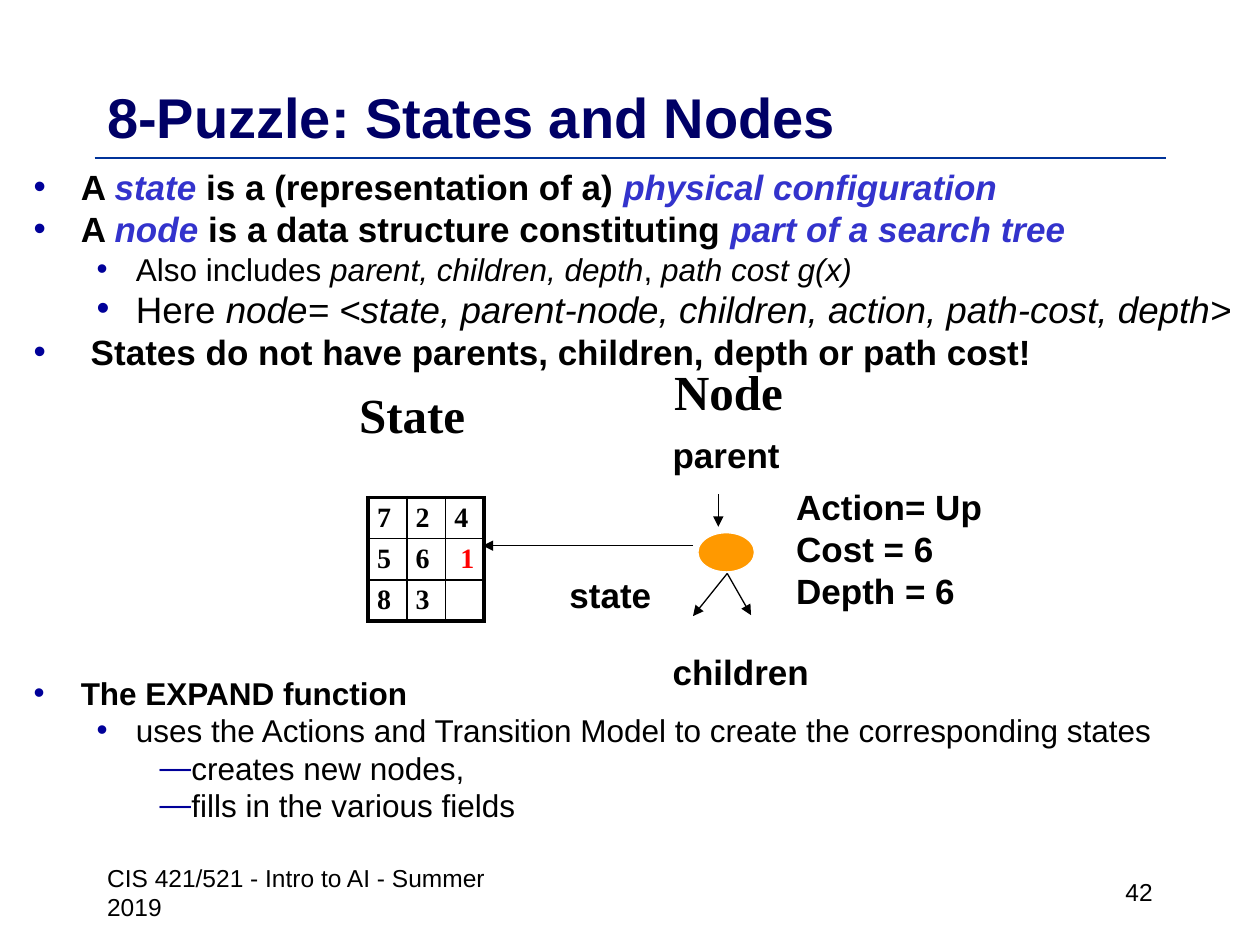
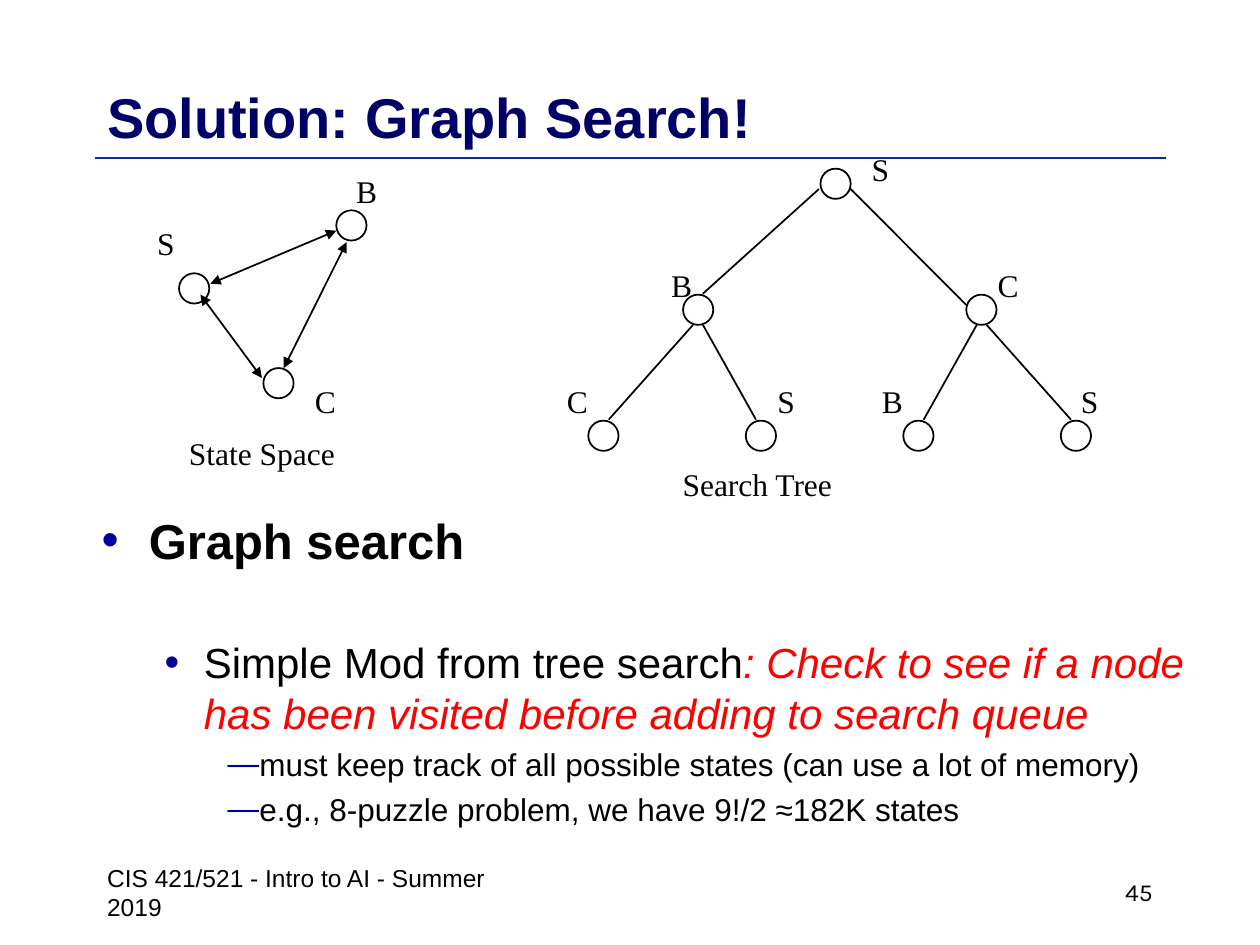
from typing import NamedTuple

from lxml.etree import SubElement
from pptx import Presentation
from pptx.dml.color import RGBColor
from pptx.enum.shapes import MSO_CONNECTOR as Link, MSO_SHAPE as Shape
from pptx.enum.text import MSO_ANCHOR as Anchor, MSO_AUTO_SIZE as AutoSize, PP_ALIGN as Align
from pptx.oxml.ns import qn
from pptx.util import Cm, Pt

SANS, SERIF = "Arial", "Times New Roman"
BLACK, WHITE, NAVY, RULE = "000000", "FFFFFF", "000066", "003399"
BULLET, TERM, RED, ORANGE = "000099", "3333CC", "FF0000", "FF9900"
FOOTER = "CIS 421/521 - Intro to AI - Summer 2019"
NODE_SIZE = 0.61
LINE_HEIGHT = 1.15


class Run(NamedTuple):
    text: str
    color: str = BLACK
    italic: bool = False


class Level(NamedTuple):
    margin: float
    hang: float
    char: str
    bold: bool


LEVELS = [
    Level(0.95, 0.95, "•", True),
    Level(2.06, 0.79, "•", False),
    Level(3.18, 0.64, "—", False),
]


class Bullet(NamedTuple):
    level: int
    size: float
    runs: list[Run]
    before: float = 0
    after: float = 0
    extra: float = 0


class Label(NamedTuple):
    text: str
    x: float
    y: float
    w: float = 0.95
    size: float = 18
    font: str = SERIF
    bold: bool = False


class Edge(NamedTuple):
    x1: float
    y1: float
    x2: float
    y2: float
    head: bool = False
    tail: bool = False


def rgb(color: str) -> RGBColor:
    return RGBColor.from_string(color)


def gap(size: float) -> float:
    return round(0.2 * LINE_HEIGHT * size, 1)


def add_run(p, text: str, size: float, font: str = SANS, color: str = BLACK,
            bold: bool = False, italic: bool = False) -> None:
    r = p.add_run()
    r.text = text
    r.font.name, r.font.size = font, Pt(size)
    r.font.bold, r.font.italic = bold, italic
    r.font.color.rgb = rgb(color)


def set_frame(tf, anchor=Anchor.TOP) -> None:
    tf.word_wrap = True
    tf.auto_size = AutoSize.NONE
    tf.vertical_anchor = anchor
    tf.margin_left = tf.margin_right = Cm(0.25)
    tf.margin_top = tf.margin_bottom = Cm(0.13)


def add_box(s, x: float, y: float, w: float, h: float, anchor=Anchor.TOP):
    tf = s.shapes.add_textbox(Cm(x), Cm(y), Cm(w), Cm(h)).text_frame
    set_frame(tf, anchor)
    return tf


def next_paragraph(tf, i: int):
    return tf.add_paragraph() if i else tf.paragraphs[0]


def add_label(s, label: Label) -> None:
    lines = label.text.split("\n")
    height = 0.27 + len(lines) * label.size * LINE_HEIGHT * 2.54 / 72
    tf = add_box(s, label.x, label.y, label.w, round(height, 2))
    for i, line in enumerate(lines):
        add_run(next_paragraph(tf, i), line, label.size, label.font, bold=label.bold)


def add_edge(s, edge: Edge, width: float = 1, color: str = BLACK) -> None:
    c = s.shapes.add_connector(Link.STRAIGHT, Cm(edge.x1), Cm(edge.y1), Cm(edge.x2), Cm(edge.y2))
    c.line.width = Pt(width)
    c.line.color.rgb = rgb(color)
    sp_pr = c._element.spPr
    ln = sp_pr.find(qn("a:ln"))
    for shown, tag in ((edge.head, "a:headEnd"), (edge.tail, "a:tailEnd")):
        if shown:
            SubElement(ln, qn(tag), type="triangle")
    SubElement(sp_pr, qn("a:effectLst"))


def add_ellipse(s, x: float, y: float, w: float = NODE_SIZE, h: float = NODE_SIZE,
                fill: str = "", line: str = BLACK, width: float = 1) -> None:
    sp = s.shapes.add_shape(Shape.OVAL, Cm(x), Cm(y), Cm(w), Cm(h))
    sp.shadow.inherit = False
    if fill:
        sp.fill.solid()
        sp.fill.fore_color.rgb = rgb(fill)
    else:
        sp.fill.background()
    sp.line.color.rgb = rgb(line)
    sp.line.width = Pt(width)


def add_bullets(tf, bullets: list[Bullet], spacing: float) -> None:
    for i, b in enumerate(bullets):
        level = LEVELS[b.level]
        p = next_paragraph(tf, i)
        p.level = b.level
        p_pr = p._p.get_or_add_pPr()
        p_pr.set("marL", str(Cm(level.margin + b.extra)))
        p_pr.set("indent", str(-Cm(level.hang + b.extra)))
        SubElement(SubElement(p_pr, qn("a:buClr")), qn("a:srgbClr"), val=BULLET)
        SubElement(p_pr, qn("a:buFont"), typeface=SANS)
        SubElement(p_pr, qn("a:buChar"), char=level.char)
        p.line_spacing = spacing
        p.space_before, p.space_after = Pt(b.before), Pt(b.after)
        for run in b.runs:
            add_run(p, run.text, b.size, color=run.color, bold=level.bold, italic=run.italic)


def add_slide(prs, title: str, number: str, number_font: str = SANS):
    s = prs.slides.add_slide(prs.slide_layouts[5])
    add_edge(s, Edge(1.91, 3.18, 23.5, 3.18), color=RULE)
    sp = s.shapes.title
    sp.left, sp.top, sp.width, sp.height = Cm(1.91), Cm(1.7), Cm(21.59), Cm(1.27)
    set_frame(sp.text_frame, Anchor.MIDDLE)
    p = sp.text_frame.paragraphs[0]
    p.alignment = Align.LEFT
    add_run(p, title, 32, color=NAVY, bold=True)
    footer = add_box(s, 1.91, 17.35, 9.2, 1.27, Anchor.MIDDLE)
    add_run(footer.paragraphs[0], FOOTER, 14)
    p = add_box(s, 18.21, 17.35, 5.28, 1.27, Anchor.MIDDLE).paragraphs[0]
    p.alignment = Align.RIGHT
    add_run(p, number, 14, number_font)
    return s


def add_border(cell, side: str, width: float) -> None:
    ln = SubElement(cell._tc.get_or_add_tcPr(), qn(f"a:ln{side}"), w=str(Pt(width)))
    SubElement(SubElement(ln, qn("a:solidFill")), qn("a:srgbClr"), val=BLACK)


def add_puzzle(s, rows: list[str], x: float, y: float, moved: str) -> None:
    n, col_w, row_h = len(rows), 0.78, 0.83
    table = s.shapes.add_table(n, n, Cm(x), Cm(y), Cm(n * col_w), Cm(n * row_h)).table
    table.first_row = table.horz_banding = False
    for i in range(n):
        table.columns[i].width, table.rows[i].height = Cm(col_w), Cm(row_h)
    for i, tiles in enumerate(rows):
        for j, tile in enumerate(tiles):
            cell = table.cell(i, j)
            outer = {"L": j == 0, "R": j == n - 1, "T": i == 0, "B": i == n - 1}
            for side, thick in outer.items():
                add_border(cell, side, 2.25 if thick else 1)
            cell.fill.background()
            cell.margin_left = Cm(0.3 if tile == moved else 0.18)
            cell.margin_right = Cm(0.13)
            cell.margin_top = cell.margin_bottom = Cm(0)
            cell.vertical_anchor = Anchor.MIDDLE
            add_run(cell.text_frame.paragraphs[0], tile.strip(), 16, SERIF,
                    RED if tile == moved else BLACK, bold=True)


def build_states_and_nodes(prs) -> None:
    s = add_slide(prs, "8-Puzzle: States and Nodes", "42")
    add_bullets(add_box(s, 0.43, 3.38, 24.77, 13.97), [
        Bullet(0, 20, [Run("A "), Run("state ", TERM, True), Run("is a (representation of a) "),
                       Run("physical configuration", TERM, True)], after=gap(20)),
        Bullet(0, 20, [Run("A "), Run("node ", TERM, True),
                       Run("is a data structure constituting "),
                       Run("part of a search tree", TERM, True)], after=gap(20)),
        Bullet(1, 18, [Run("Also includes "), Run("parent, children, depth", italic=True),
                       Run(", "), Run("path cost g(x)", italic=True)], after=gap(18)),
        Bullet(1, 21, [Run("Here "),
                       Run("node= <state, parent-node, children, action, path-cost, depth>",
                           italic=True)], after=gap(21)),
        Bullet(0, 20, [Run("States do not have parents, children, depth or path cost!")],
               after=gap(20), extra=0.2),
        Bullet(0, 18, [Run("The EXPAND function")], before=172),
        Bullet(1, 18, [Run("uses the Actions and Transition Model "
                           "to create the corresponding states")], before=gap(18)),
        Bullet(2, 18, [Run("creates new nodes,")], before=gap(18)),
        Bullet(2, 18, [Run("fills in the various fields")], before=gap(18)),
    ], 0.8)

    add_ellipse(s, 14.07, 10.74, 1.14, 0.79, ORANGE, WHITE, 0.75)
    for ends in [(14.48, 9.96, 14.48, 10.62), (14.66, 11.56, 13.97, 12.42),
                 (14.66, 11.56, 15.14, 12.4), (13.97, 11, 9.73, 11)]:
        add_edge(s, Edge(*ends, tail=True), 0.75)
    for text, x, y, w in [("parent", 13.31, 8.61, 2.8), ("children", 13.31, 12.98, 3.4),
                          ("state", 11.23, 11.43, 2.3),
                          ("Action= Up\nCost = 6\nDepth = 6", 15.8, 9.65, 4.6)]:
        add_label(s, Label(text, x, y, w, 20, SANS, True))
    for text, x, y in [("Node", 13.34, 7.16), ("State", 6.99, 7.62)]:
        add_label(s, Label(text, x, y, 3.18, 28, bold=True))
    add_puzzle(s, ["724", "561", "83 "], 7.42, 10.03, moved="1")


def build_graph_search(prs) -> None:
    s = add_slide(prs, "Solution: Graph Search!", "45", "Karla")
    add_bullets(add_box(s, 1.8, 10.16, 22.56, 7.82), [
        Bullet(0, 28, [Run("Graph search")]),
        Bullet(1, 24, [Run("Simple Mod from tree search"),
                       Run(": Check to see if a node has been visited "
                           "before adding to search queue", RED, True)], before=38.6),
        Bullet(2, 18, [Run("must keep track of all possible states "
                           "(can use a lot of memory)")], before=gap(18)),
        Bullet(2, 18, [Run("e.g., 8-puzzle problem, we have 9!/2 ≈182K states")],
               before=gap(18)),
    ], 1.0)

    space_nodes = [(3.61, 5.51), (5.31, 7.42), (6.78, 4.24)]
    leaf_nodes = [(11.86 + 3.175 * i, 8.48) for i in range(4)]
    tree_nodes = [(16.54, 3.4), (13.77, 5.94), (19.48, 5.94), *leaf_nodes]
    for x, y in space_nodes + tree_nodes:
        add_ellipse(s, x, y)

    for ends in [(4.24, 5.72, 6.78, 4.65), (6.99, 4.88, 5.72, 7.42), (4.04, 5.94, 5.28, 7.62)]:
        add_edge(s, Edge(*ends, head=True, tail=True))
    root_edges = [Edge(16.51, 3.81, 14.17, 5.92), Edge(17.15, 3.81, 19.48, 6.15)]
    leaf_edges = [Edge(x1, 6.55, x2, 8.46) for x1, x2 in
                  [(13.97, 12.27), (14.17, 15.24), (19.69, 18.62), (19.89, 21.59)]]
    for edge in root_edges + leaf_edges:
        add_edge(s, edge)

    leaf_labels = [Label(text, x, 7.57) for text, x in
                   zip("CSBS", (11.18, 15.42, 17.53, 21.54))]
    for label in [
        Label("S", 2.92, 4.39), Label("B", 6.93, 3.33), Label("C", 6.1, 7.57),
        Label("S", 17.32, 2.9), Label("B", 13.28, 5.23), Label("C", 19.86, 5.23),
        *leaf_labels,
        Label("State Space", 3.56, 8.61, 3.6), Label("Search Tree", 13.51, 9.25, 3.7),
    ]:
        add_label(s, label)


def main() -> None:
    prs = Presentation()
    prs.slide_width, prs.slide_height = Cm(25.4), Cm(19.05)
    build_states_and_nodes(prs)
    build_graph_search(prs)
    prs.save("out.pptx")


if __name__ == "__main__":
    main()
